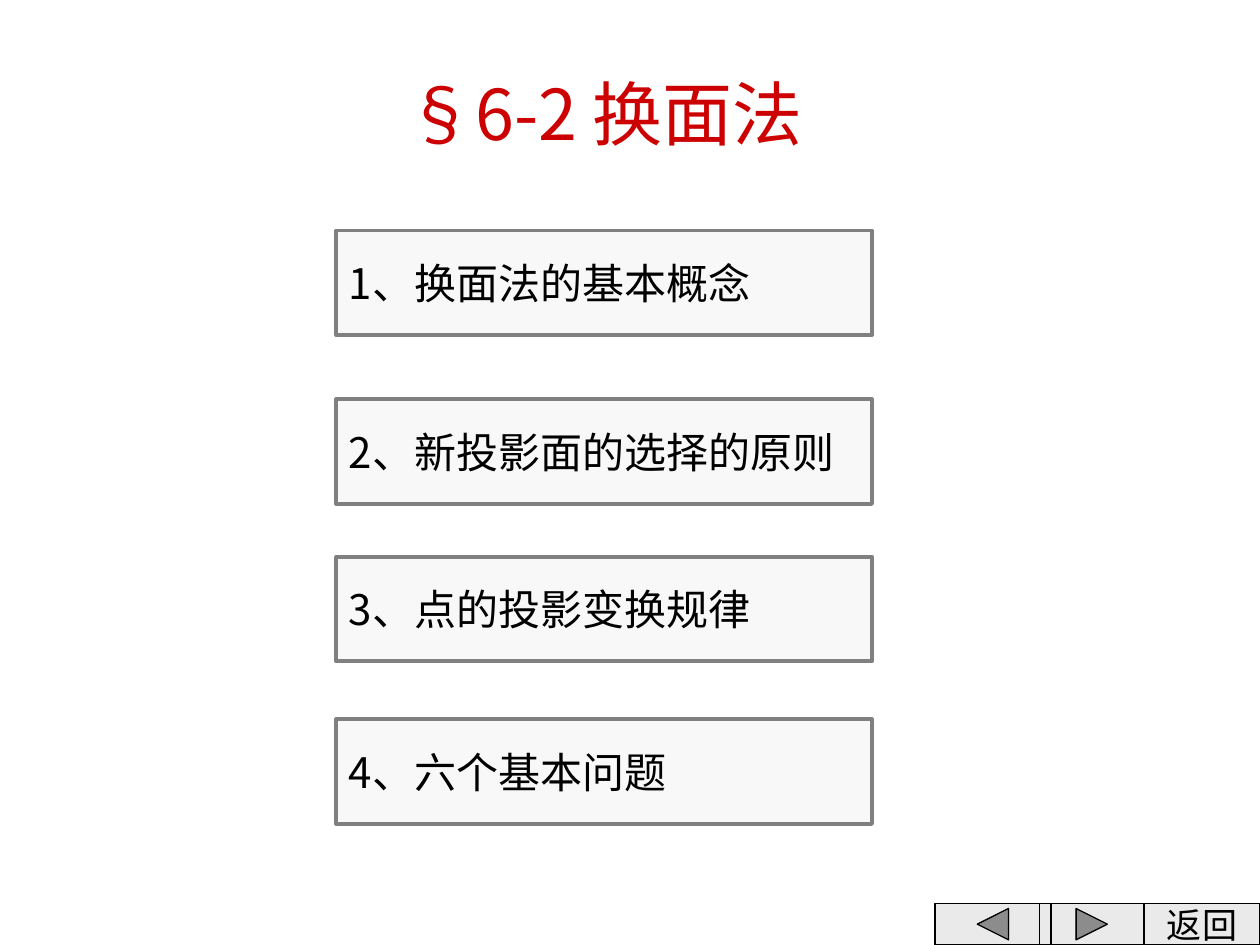
from dataclasses import dataclass

from lxml.etree import SubElement
from pptx import Presentation
from pptx.dml.color import RGBColor
from pptx.enum.shapes import MSO_SHAPE
from pptx.enum.text import MSO_ANCHOR, MSO_AUTO_SIZE, PP_ALIGN
from pptx.oxml.ns import qn
from pptx.util import Inches, Pt


@dataclass(frozen=True)
class Theme:
    title_color: str = "CC0000"
    ink: str = "000000"
    item_fill: str = "F8F8F8"
    item_line: str = "808080"
    button_fill: str = "EAEAEA"
    button_line: str = "B2B2B2"
    font: str = "Noto Sans CJK JP"
    button_font: str = "Times New Roman"
    title_size: float = 40
    item_size: float = 24
    button_size: float = 20
    item_border: float = 2.25
    button_border: float = 0.75


THEME = Theme()
TITLE = "§6-2 换面法"
ITEMS = ["1、换面法的基本概念", "2、新投影面的选择的原则", "3、点的投影变换规律", "4、六个基本问题"]
ITEM_TOPS = [0, 1.34, 2.59, 3.88]
ITEM_HEIGHT = 0.83
BUTTONS = [
    (MSO_SHAPE.ACTION_BUTTON_BACK_OR_PREVIOUS, 0, 0.92, ""),
    (MSO_SHAPE.ACTION_BUTTON_FORWARD_OR_NEXT, 0.83, 0.83, ""),
    (MSO_SHAPE.ACTION_BUTTON_CUSTOM, 1.66, 0.92, "返回"),
]


def write_text(shape, text, font, size, color, alignment):
    frame = shape.text_frame
    frame.text = text
    frame.vertical_anchor = MSO_ANCHOR.MIDDLE
    frame.auto_size = MSO_AUTO_SIZE.NONE
    paragraph = frame.paragraphs[0]
    paragraph.alignment = alignment
    for run in paragraph.runs:
        run.font.name = font
        run.font.size = Pt(size)
        run.font.color.rgb = RGBColor.from_string(color)
        SubElement(run.font._element, qn("a:ea")).set("typeface", THEME.font)


def add_box(slide, kind, box, fill, line, border):
    shape = slide.shapes.add_shape(kind, *map(Inches, box))
    shape.shadow.inherit = False
    if fill:
        shape.fill.solid()
        shape.fill.fore_color.rgb = RGBColor.from_string(fill)
    else:
        shape.fill.background()
    shape.line.color.rgb = RGBColor.from_string(line)
    shape.line.width = Pt(border)
    shape.text_frame.word_wrap = False
    return shape


def place_title(slide, box):
    title = slide.shapes.title
    title.left, title.top, title.width, title.height = map(Inches, box)
    write_text(title, TITLE, THEME.font, THEME.title_size,
               THEME.title_color, PP_ALIGN.CENTER)
    title.text_frame.margin_bottom = Inches(0.1)


def place_items(slide, left, top, width):
    for text, offset in zip(ITEMS, ITEM_TOPS):
        shape = add_box(slide, MSO_SHAPE.RECTANGLE,
                        (left, top + offset, width, ITEM_HEIGHT),
                        THEME.item_fill, THEME.item_line, THEME.item_border)
        write_text(shape, text, THEME.font, THEME.item_size,
                   THEME.ink, PP_ALIGN.LEFT)


def place_navigation(slide, left, top, height):
    layers = [(THEME.button_fill, THEME.button_line), (None, THEME.ink)]
    for fill, line in layers:
        for kind, offset, width, label in BUTTONS:
            shape = add_box(slide, kind, (left + offset, top, width, height),
                            fill, line, THEME.button_border)
            if label and not fill:
                write_text(shape, label, THEME.button_font, THEME.button_size,
                           THEME.ink, PP_ALIGN.CENTER)


def main():
    presentation = Presentation()
    presentation.slide_width = Inches(10)
    presentation.slide_height = Inches(7.5)
    slide = presentation.slides.add_slide(presentation.slide_layouts[5])
    place_title(slide, (0.92, 0.5, 7.75, 0.83))
    place_items(slide, 2.67, 1.83, 4.25)
    place_navigation(slide, 7.42, 7.17, 0.33)
    presentation.save("out.pptx")


if __name__ == "__main__":
    main()
